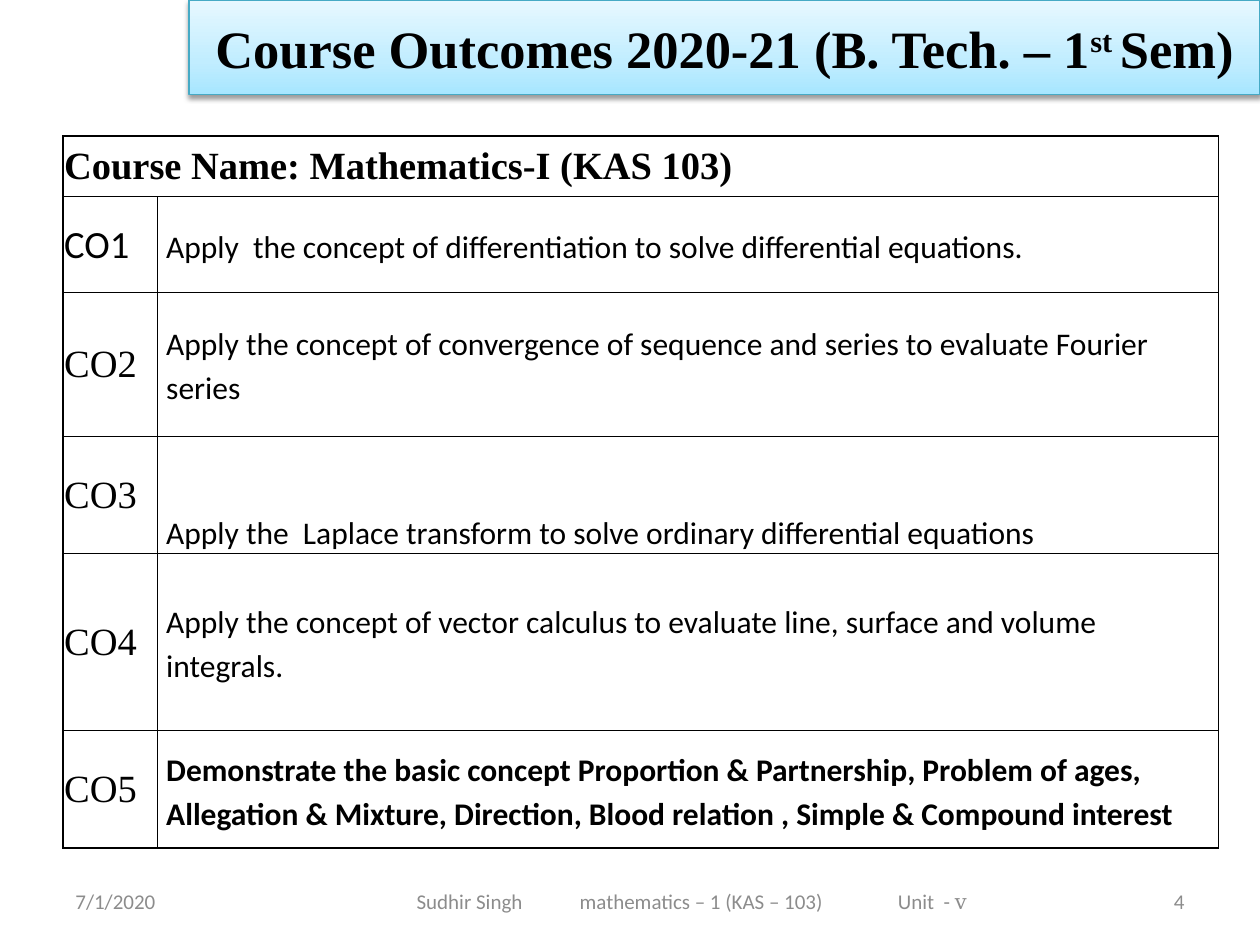
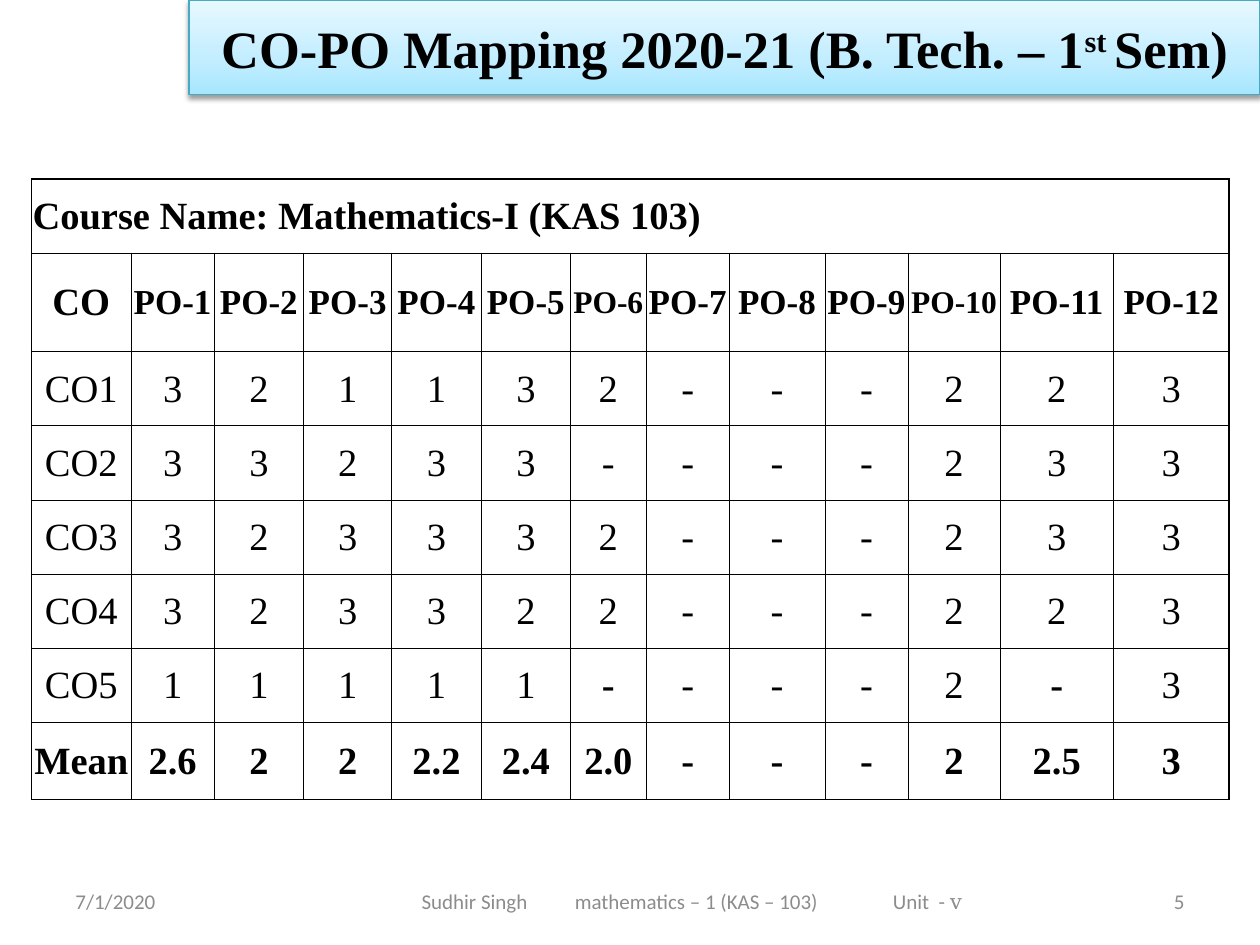
import pptx
import pptx.dml.color
import pptx.enum.text
import pptx.oxml
import pptx.oxml.ns
import pptx.util

Pt = pptx.util.Pt
ALIGN = pptx.enum.text.PP_ALIGN
ANCHOR = pptx.enum.text.MSO_ANCHOR

SERIF, SANS = "Times New Roman", "Calibri"
BLACK, GREY, BAND_LINE = "000000", "8C8C8C", "46AAC5"
BAND_STOPS = [(0, "A7E6FF"), (35, "C1EDFF"), (100, "E7F8FF")]
INNER_BORDER, OUTER_BORDER = 0.5, 1
COURSE_NAME = "Course Name: Mathematics-I (KAS 103)"
FOOTER_TOP, FOOTER_HEIGHT = 500.4, 28.8

OUTCOMES = [
    "Apply  the concept of differentiation to solve differential equations.",
    "Apply the concept of convergence of sequence and series to evaluate Fourier series",
    "Apply the  Laplace transform to solve ordinary differential equations",
    "Apply the concept of vector calculus to evaluate line, surface and volume integrals.",
    "Demonstrate the basic concept Proportion & Partnership, Problem of ages, "
    "Allegation & Mixture, Direction, Blood relation , Simple & Compound interest",
]
MAPPING = [
    "CO1 3 2 1 1 3 2 - - - 2 2 3",
    "CO2 3 3 2 3 3 - - - - 2 3 3",
    "CO3 3 2 3 3 3 2 - - - 2 3 3",
    "CO4 3 2 3 3 2 2 - - - 2 2 3",
    "CO5 1 1 1 1 1 - - - - 2 - 3",
    "Mean 2.6 2 2 2.2 2.4 2.0 - - - 2 2.5 3",
]
BOLD_DASHES = [("CO5", 6), ("CO5", 11)]


def color(hex_string):
    return pptx.dml.color.RGBColor.from_string(hex_string)


def drawing_xml(tag, content, attributes=""):
    namespace = pptx.oxml.ns.nsdecls("a")
    return pptx.oxml.parse_xml(f"<a:{tag} {namespace} {attributes}>{content}</a:{tag}>")


def write(paragraph, text, font=SERIF, size=22, ink=BLACK, bold=False,
          align=ALIGN.LEFT, spacing=None, raised=False):
    """Add a run to the paragraph and format both."""
    paragraph.alignment = align
    if spacing:
        paragraph.line_spacing = spacing
    run = paragraph.add_run()
    run.text = text
    run.font.name = font
    run.font.size = Pt(size)
    run.font.bold = bold
    run.font.color.rgb = color(ink)
    if raised:
        run._r.get_or_add_rPr().set("baseline", "30000")


def add_title_band(slide, subject):
    band = slide.shapes.title
    band.left, band.top, band.width, band.height = Pt(108), Pt(0), Pt(612), Pt(54)
    stops = "".join(f'<a:gs pos="{position * 1000}"><a:srgbClr val="{tint}"/></a:gs>'
                    for position, tint in BAND_STOPS)
    properties = band._element.spPr
    properties.append(drawing_xml(
        "gradFill", f'<a:gsLst>{stops}</a:gsLst><a:lin ang="16200000" scaled="0"/>'))
    band.line.color.rgb = color(BAND_LINE)
    band.line.width = Pt(0.75)
    properties.append(drawing_xml(
        "effectLst",
        f'<a:outerShdw blurRad="{Pt(3.1)}" dist="{Pt(1.6)}" dir="5400000" rotWithShape="0">'
        f'<a:srgbClr val="{BLACK}"><a:alpha val="38000"/></a:srgbClr></a:outerShdw>'))

    frame = band.text_frame
    frame.auto_size = pptx.enum.text.MSO_AUTO_SIZE.NONE
    frame.vertical_anchor = ANCHOR.MIDDLE
    style = dict(size=30, bold=True, align=ALIGN.CENTER)
    paragraph = frame.paragraphs[0]
    write(paragraph, f"{subject} 2020-21 (B. Tech. – 1", **style)
    write(paragraph, "st ", raised=True, **style)
    write(paragraph, "Sem)", **style)


def add_footer_box(slide, left, width):
    """Return the only paragraph of a new box on the footer line."""
    box = slide.shapes.add_textbox(Pt(left), Pt(FOOTER_TOP), Pt(width), Pt(FOOTER_HEIGHT))
    box.text_frame.word_wrap = True
    box.text_frame.vertical_anchor = ANCHOR.MIDDLE
    return box.text_frame.paragraphs[0]


def add_footer(slide, number, tab_positions):
    style = dict(size=12, ink=GREY)
    write(add_footer_box(slide, 36, 168), "7/1/2020", font=SANS, **style)

    paragraph = add_footer_box(slide, 198, 396)
    write(paragraph, "\tSudhir Singh\tmathematics – 1 (KAS – 103)\tUnit  - ", font=SANS, **style)
    write(paragraph, "ⅴ", **style)
    tabs = "".join(f'<a:tab pos="{Pt(position)}" algn="l"/>' for position in tab_positions)
    paragraph._p.get_or_add_pPr().append(drawing_xml("tabLst", tabs))

    write(add_footer_box(slide, 516, 168), str(number), font=SANS, align=ALIGN.RIGHT, **style)


def set_borders(cell, **widths):
    properties = cell._tc.get_or_add_tcPr()
    for side in "LRTB":
        properties.append(drawing_xml(
            f"ln{side}",
            f'<a:solidFill><a:srgbClr val="{BLACK}"/></a:solidFill><a:prstDash val="solid"/>',
            f'w="{Pt(widths[side])}"'))


def border_width(is_outer):
    return OUTER_BORDER if is_outer else INNER_BORDER


def add_course_table(slide, left, top, column_widths, row_heights):
    """Add a bordered, unfilled table whose first row holds the course name."""
    frame = slide.shapes.add_table(len(row_heights), len(column_widths), Pt(left), Pt(top),
                                   Pt(sum(column_widths)), Pt(sum(row_heights)))
    table = frame.table
    table.first_row = table.horz_banding = False
    for column, width in zip(table.columns, column_widths):
        column.width = Pt(width)
    for row, height in zip(table.rows, row_heights):
        row.height = Pt(height)
    last_row, last_column = len(row_heights) - 1, len(column_widths) - 1
    for row in range(last_row + 1):
        for column in range(last_column + 1):
            cell = table.cell(row, column)
            set_borders(cell,
                        L=border_width(column == 0),
                        R=border_width(column == last_column or row == 0),
                        T=border_width(row == 0),
                        B=border_width(row == last_row))
            cell.fill.background()
    table.cell(0, 0).merge(table.cell(0, last_column))
    fill_cell(table.cell(0, 0), COURSE_NAME, bold=True)
    return table


def fill_cell(cell, text, side_margin=0.7, top_margin=0.7, anchor=ANCHOR.MIDDLE, **text_format):
    cell.margin_left = cell.margin_right = Pt(side_margin)
    cell.margin_top, cell.margin_bottom = Pt(top_margin), Pt(0)
    cell.vertical_anchor = anchor
    write(cell.text_frame.paragraphs[0], text, **text_format)


def add_slide(presentation, subject, number, tab_positions):
    slide = presentation.slides.add_slide(presentation.slide_layouts[5])
    add_title_band(slide, subject)
    add_footer(slide, number, tab_positions)
    return slide


def add_outcomes_slide(presentation):
    slide = add_slide(presentation, "Course Outcomes", 4, (33, 126.2, 308))
    table = add_course_table(slide, 36, 77.8, [54, 606.2], [34.6, 54.7, 82.1, 67, 101.5, 67])
    for row, outcome in enumerate(OUTCOMES, start=1):
        fill_cell(table.cell(row, 0), f"CO{row}", font=SANS if row == 1 else SERIF)
        fill_cell(table.cell(row, 1), outcome, side_margin=5, top_margin=0,
                  anchor=ANCHOR.BOTTOM if row == 3 else ANCHOR.MIDDLE,
                  font=SANS, size=18, bold=row == len(OUTCOMES), spacing=1.15)


def add_mapping_slide(presentation):
    slide = add_slide(presentation, "CO-PO Mapping", 5, (35.8, 123.4, 305.2))
    column_widths = [56.9, 47.5, 51.1, 50.4, 51.1, 51.1, 43.2, 47.5, 54.7, 47.5, 52.6, 64.8, 66.2]
    table = add_course_table(slide, 18, 102.2, column_widths, [42.4, 56.4] + [42.4] * 5 + [44])

    header_sizes = {0: 22, 6: 18, 10: 18}
    for column in range(len(column_widths)):
        fill_cell(table.cell(1, column), f"PO-{column}" if column else "CO",
                  size=header_sizes.get(column, 20), bold=True, align=ALIGN.CENTER)
    for row, line in enumerate(MAPPING, start=2):
        values = line.split()
        for column, value in enumerate(values):
            bold = values[0] == "Mean" or (values[0], column) in BOLD_DASHES
            fill_cell(table.cell(row, column), value, bold=bold, align=ALIGN.CENTER)


def main():
    presentation = pptx.Presentation()
    presentation.slide_width, presentation.slide_height = Pt(720), Pt(540)
    add_outcomes_slide(presentation)
    add_mapping_slide(presentation)
    presentation.save("out.pptx")


if __name__ == "__main__":
    main()
